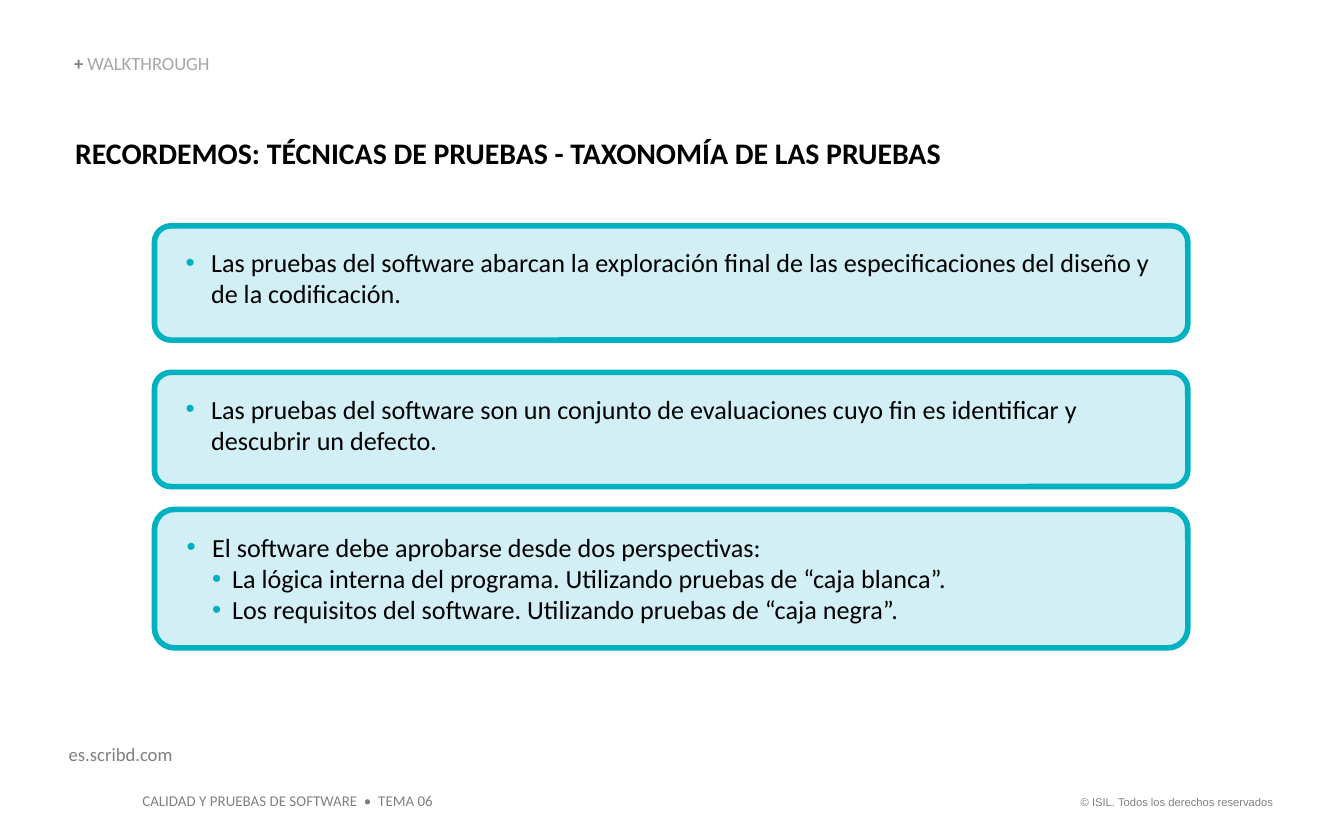
from dataclasses import dataclass

from lxml.etree import SubElement
from pptx import Presentation
from pptx.dml.color import RGBColor
from pptx.enum.shapes import MSO_SHAPE
from pptx.enum.text import MSO_ANCHOR, MSO_AUTO_SIZE, PP_ALIGN
from pptx.oxml.ns import qn
from pptx.util import Cm, Pt


@dataclass(frozen=True)
class Theme:
    """Colours, fonts and type sizes of the slide."""

    font: str = "Calibri"
    legal_font: str = "Arial"
    black: str = "000000"
    gray: str = "808080"
    light_gray: str = "A6A6A6"
    accent: str = "00B1C2"
    card_fill: str = "D1EFF4"
    title_size: int = 16
    body_size: int = 14
    label_size: int = 10
    footer_size: int = 8
    legal_size: int = 6


class SlideBuilder:
    """Holds the theme and the current slide, and draws each kind of element."""

    card_left, card_width = 2.92, 19.53
    bullet_indents = ((0.48, -0.48), (0.86, -0.38))

    def __init__(self, slide, theme):
        """Keep the slide and its theme."""
        self.slide = slide
        self.theme = theme

    def add_run(self, paragraph, text, size, color, bold=False, font=None):
        """Add one formatted run to a paragraph."""
        run = paragraph.add_run()
        run.text = text
        run.font.name = font or self.theme.font
        run.font.size = Pt(size)
        run.font.bold = bold
        run.font.color.rgb = RGBColor.from_string(color)

    def set_frame(self, shape, insets, anchor=MSO_ANCHOR.TOP, wrap=True):
        """Set insets, anchor and wrapping, and return the text frame."""
        frame = shape.text_frame
        frame.auto_size = MSO_AUTO_SIZE.NONE
        frame.word_wrap = wrap
        frame.vertical_anchor = anchor
        (frame.margin_left, frame.margin_top,
         frame.margin_right, frame.margin_bottom) = map(Cm, insets)
        return frame

    def add_title(self, text, left, top, width, height):
        """Fill and place the title placeholder."""
        title = self.slide.shapes.title
        title.left, title.top, title.width, title.height = map(
            Cm, (left, top, width, height))
        paragraph = self.set_frame(title, (0, 0, 0, 0)).paragraphs[0]
        paragraph.alignment = PP_ALIGN.LEFT
        self.add_run(paragraph, text, self.theme.title_size, self.theme.black, True)

    def add_label(self, box, insets=(0, 0, 0, 0), anchor=MSO_ANCHOR.TOP,
                  alignment=PP_ALIGN.LEFT, wrap=True):
        """Add a one-line text box and return its paragraph."""
        shape = self.slide.shapes.add_textbox(*map(Cm, box))
        paragraph = self.set_frame(shape, insets, anchor, wrap).paragraphs[0]
        paragraph.alignment = alignment
        return paragraph

    def add_footer(self, text, box, size, alignment=PP_ALIGN.LEFT, font=None):
        """Add a gray footer line."""
        paragraph = self.add_label(box, (0.25, 0.13, 0.25, 0.13),
                                   alignment=alignment, wrap=False)
        self.add_run(paragraph, text, size, self.theme.gray, font=font)

    def add_bullet(self, paragraph, level):
        """Give a paragraph a coloured bullet and a hanging indent."""
        margin, indent = self.bullet_indents[level]
        paragraph.level = level
        properties = paragraph._p.get_or_add_pPr()
        properties.set("marL", str(Cm(margin)))
        properties.set("indent", str(Cm(indent)))
        color = SubElement(properties, qn("a:buClr"))
        SubElement(color, qn("a:srgbClr"), val=self.theme.accent)
        SubElement(properties, qn("a:buFont"), typeface=self.theme.legal_font)
        SubElement(properties, qn("a:buChar"), char="•")

    def add_card(self, top, height, items):
        """Add a rounded card with bulleted items given as level and text."""
        card = self.slide.shapes.add_shape(
            MSO_SHAPE.ROUNDED_RECTANGLE,
            *map(Cm, (self.card_left, top, self.card_width, height)))
        card.shadow.inherit = False
        card.adjustments[0] = 0.144
        card.fill.solid()
        card.fill.fore_color.rgb = RGBColor.from_string(self.theme.card_fill)
        card.line.color.rgb = RGBColor.from_string(self.theme.accent)
        card.line.width = Pt(3)
        frame = self.set_frame(card, (0.5, 0.3, 0.1, 0.13))
        for index, (level, text) in enumerate(items):
            paragraph = frame.add_paragraph() if index else frame.paragraphs[0]
            paragraph.alignment = PP_ALIGN.LEFT
            self.add_bullet(paragraph, level)
            self.add_run(paragraph, text, self.theme.body_size, self.theme.black)


CARDS = (
    (4.27, 2.16, ((0, "Las pruebas del software abarcan la exploración final de las "
                      "especificaciones del diseño y de la codificación."),)),
    (7.04, 2.16, ((0, "Las pruebas del software son un conjunto de evaluaciones cuyo "
                      "fin es identificar y descubrir un defecto."),)),
    (9.63, 2.62, (
        (0, "El software debe aprobarse desde dos perspectivas:"),
        (1, "La lógica interna del programa. Utilizando pruebas de “caja blanca”."),
        (1, "Los requisitos del software. Utilizando pruebas de “caja negra”."),
    )),
)


def main():
    """Build the slide and save it."""
    theme = Theme()
    presentation = Presentation()
    presentation.slide_width = Cm(25.4)
    presentation.slide_height = Cm(15.88)
    slide = presentation.slides.add_slide(presentation.slide_layouts[5])
    builder = SlideBuilder(slide, theme)

    builder.add_footer("© ISIL. Todos los derechos reservados", (20.02, 14.91, 4.29, 0.51),
                       theme.legal_size, PP_ALIGN.RIGHT, theme.legal_font)
    builder.add_footer("CALIDAD Y PRUEBAS DE SOFTWARE  •  TEMA 06",
                       (2.44, 14.83, 6.02, 0.61), theme.footer_size)
    builder.add_title("RECORDEMOS: TÉCNICAS DE PRUEBAS - TAXONOMÍA DE LAS PRUEBAS",
                      1.42, 2.54, 21.92, 2.08)
    reference = builder.add_label((1.3, 14.05, 12.7, 0.43))
    builder.add_run(reference, "es.scribd.com", theme.label_size, theme.gray)
    section = builder.add_label((1.4, 1.04, 9.17, 0.38), anchor=MSO_ANCHOR.BOTTOM)
    section.line_spacing = 0.9
    builder.add_run(section, "+ ", theme.label_size, theme.gray, True)
    builder.add_run(section, "WALKTHROUGH", theme.label_size, theme.light_gray)
    for top, height, items in CARDS:
        builder.add_card(top, height, items)

    presentation.save("out.pptx")


if __name__ == "__main__":
    main()
